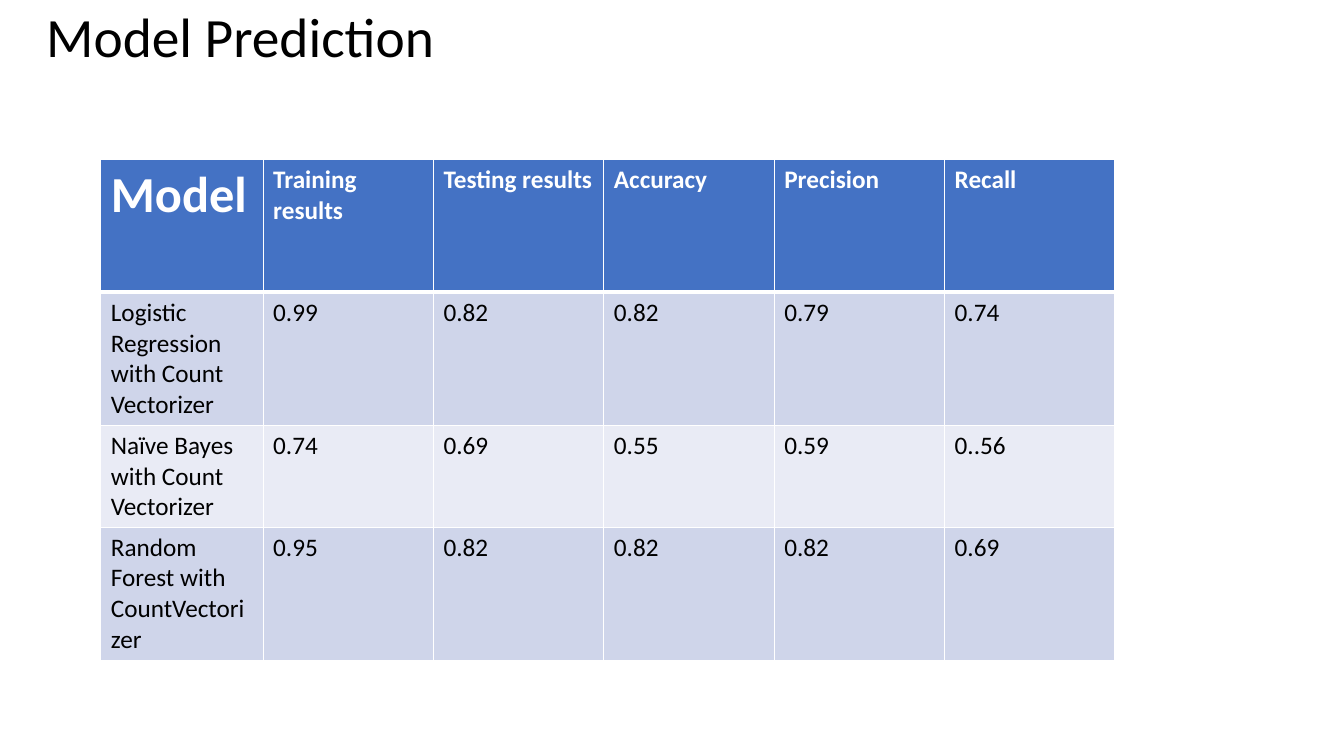
"""Build the Model Prediction slide with its table of results."""
from lxml import etree
from pptx import Presentation
from pptx.dml.color import RGBColor
from pptx.enum import text
from pptx.oxml import ns
from pptx.util import Inches, Pt

TITLE = "Model Prediction"
RESULTS = [
    ("Model", "Training results", "Testing results", "Accuracy", "Precision", "Recall"),
    ("Logistic Regression with Count Vectorizer", "0.99", "0.82", "0.82", "0.79", "0.74"),
    ("Naïve Bayes with Count Vectorizer", "0.74", "0.69", "0.55", "0.59", "0..56"),
    ("Random Forest with CountVectorizer", "0.95", "0.82", "0.82", "0.82", "0.69"),
]
COLUMN_WIDTHS = [1.61] + [1.69] * 5
ROW_HEIGHTS = [1.32, 1.32, 1.01, 1.32]
HEADER_FILL, BAND_FILLS = "4472C4", ("E9EBF5", "CFD5EA")
WHITE, BLACK = "FFFFFF", "000000"


def color(value):
    """Turn a hex string into a colour."""
    return RGBColor.from_string(value)


def style(font, size, ink, bold=False):
    """Set the look of a font."""
    font.name, font.size, font.bold = "Calibri", Pt(size), bold
    font.color.rgb = color(ink)


def add_borders(cell, top, bottom):
    """Draw white borders, with top and bottom widths in points."""
    properties = cell._tc.get_or_add_tcPr()
    for side, width in (("L", 1), ("R", 1), ("T", top), ("B", bottom)):
        line = etree.SubElement(properties, ns.qn(f"a:ln{side}"), w=str(Pt(width)))
        fill = etree.SubElement(line, ns.qn("a:solidFill"))
        etree.SubElement(fill, ns.qn("a:srgbClr"), val=WHITE)


def add_title(slide):
    """Place the title."""
    frame = slide.shapes.add_textbox(
        Inches(0.36), Inches(0.04), Inches(11.95), Inches(0.7)).text_frame
    frame.word_wrap = True
    frame.vertical_anchor = text.MSO_ANCHOR.MIDDLE
    heading = frame.paragraphs[0]
    heading.text, heading.line_spacing = TITLE, 0.9
    style(heading.font, 39.6, BLACK)


def add_results(slide):
    """Place the table of results."""
    table = slide.shapes.add_table(
        len(RESULTS), len(COLUMN_WIDTHS), Inches(1), Inches(1.58),
        Inches(sum(COLUMN_WIDTHS)), Inches(sum(ROW_HEIGHTS))).table
    for column, width in zip(table.columns, COLUMN_WIDTHS):
        column.width = Inches(width)
    for row, height in zip(table.rows, ROW_HEIGHTS):
        row.height = Inches(height)
    for r, values in enumerate(RESULTS):
        header = r == 0
        for c, value in enumerate(values):
            cell = table.cell(r, c)
            cell.text = value
            size = 36 if header and c == 0 else 18
            style(cell.text_frame.paragraphs[0].font, size, WHITE if header else BLACK, header)
            add_borders(cell, 3 if r == 1 else 1, 3 if header else 1)
            cell.fill.solid()
            cell.fill.fore_color.rgb = color(HEADER_FILL if header else BAND_FILLS[r % 2])


def main():
    """Build and save the slide."""
    deck = Presentation()
    deck.slide_width, deck.slide_height = Inches(13.33), Inches(7.5)
    slide = deck.slides.add_slide(deck.slide_layouts[6])
    add_title(slide)
    add_results(slide)
    deck.save("out.pptx")


if __name__ == "__main__":
    main()
